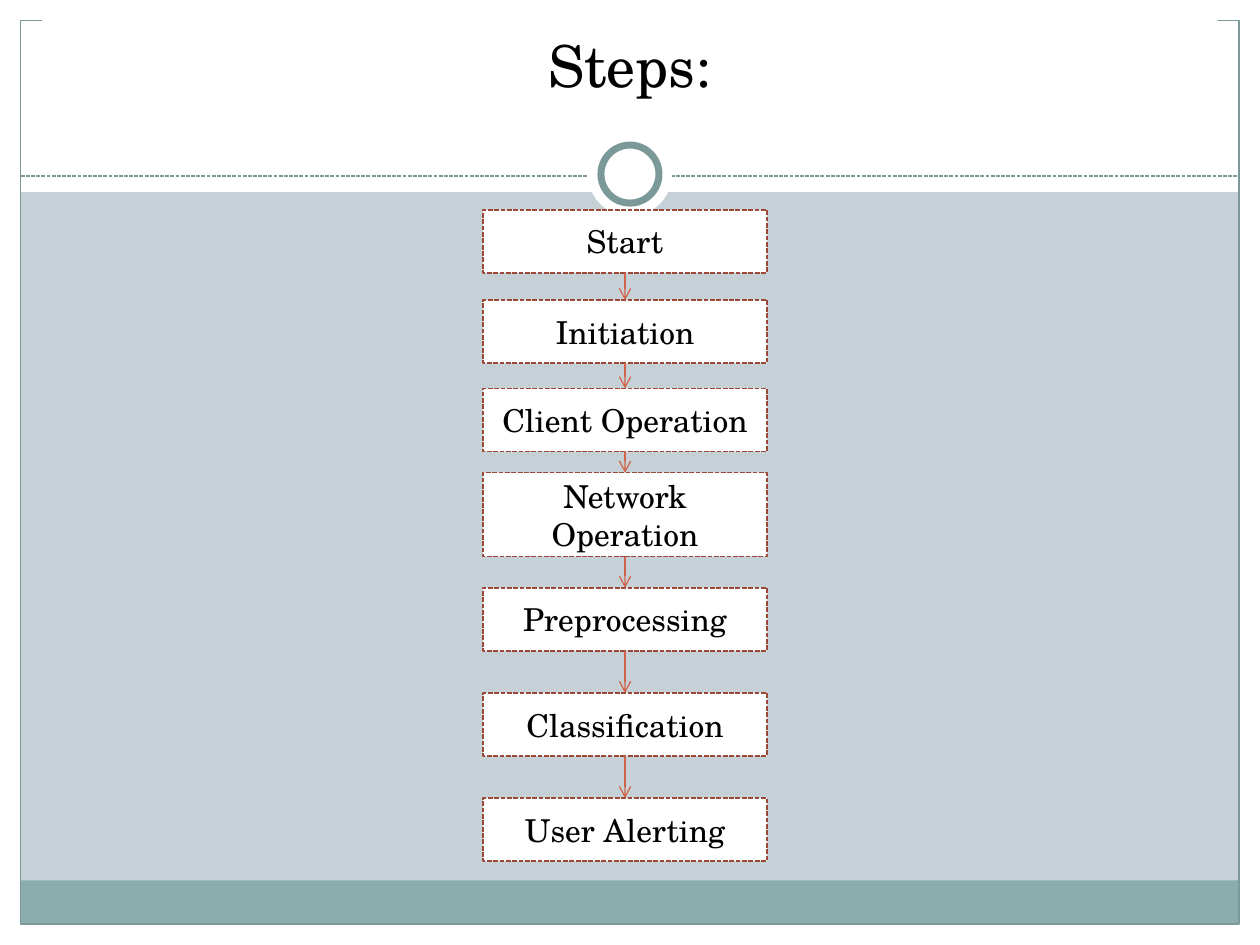
from dataclasses import dataclass

from lxml.etree import SubElement
from pptx import Presentation
from pptx.dml.color import RGBColor as RGB
from pptx.enum.dml import MSO_LINE_DASH_STYLE as Dash
from pptx.enum.shapes import MSO_CONNECTOR as Link, MSO_SHAPE as Shape
from pptx.enum.text import MSO_ANCHOR as Anchor, PP_ALIGN as Align
from pptx.oxml.ns import qn
from pptx.util import Cm, Pt


@dataclass(frozen=True)
class Theme:
    font: str = "TeX Gyre Schola"
    title_size: float = 33
    step_size: float = 18
    background: str = "C5D1D7"
    paper: str = "FFFFFF"
    ink: str = "000000"
    band: str = "8CADAE"
    frame: str = "7C999A"
    border: str = "9B4936"
    arrow: str = "D16349"


T = Theme()
WIDTH, HEIGHT = 25.4, 19.05
MARGIN = 0.42
INNER = WIDTH - 2 * MARGIN
MIDDLE = WIDTH / 2


def set_line(line, color, width, dash=None):
    line.color.rgb = RGB.from_string(color)
    for name, value in {"width": Pt(width), "dash_style": dash}.items():
        setattr(line, name, value)


def add_box(box, fill=None, kind=Shape.RECTANGLE, text="", size=T.step_size, anchor=Anchor.MIDDLE):
    """Add a shape without an outline; box is left, top, width, height in cm."""
    sp = s.shapes.add_shape(kind, *map(Cm, box))
    sp.shadow.inherit = False
    sp.line.fill.background()
    if fill:
        sp.fill.solid()
        sp.fill.fore_color.rgb = RGB.from_string(fill)
    else:
        sp.fill.background()
    if text:
        tf = sp.text_frame
        tf.word_wrap = True
        tf.vertical_anchor = anchor
        p = tf.paragraphs[0]
        p.alignment = Align.CENTER
        r = p.add_run()
        r.text = text
        for name, value in {"name": T.font, "size": Pt(size)}.items():
            setattr(r.font, name, value)
        r.font.color.rgb = RGB.from_string(T.ink)
    return sp


prs = Presentation()
prs.slide_width, prs.slide_height = Cm(WIDTH), Cm(HEIGHT)
s = prs.slides.add_slide(prs.slide_layouts[6])
s.background.fill.solid()
s.background.fill.fore_color.rgb = RGB.from_string(T.background)

# White margins, header and footer band
for box in [
    (0, HEIGHT - MARGIN, WIDTH, MARGIN),
    (0, 0, WIDTH, 3.87),
    (0, 0, MARGIN, HEIGHT),
    (WIDTH - MARGIN, 0, MARGIN, HEIGHT),
]:
    add_box(box, T.paper)
add_box((MARGIN, 17.75, INNER, 0.87), T.band)
frame = add_box((MARGIN, MARGIN, INNER, HEIGHT - 2 * MARGIN))
set_line(frame.line, T.frame, 0.75)

# Dashed divider with a ring at its middle
divider = s.shapes.add_connector(
    Link.STRAIGHT, Cm(MARGIN), Cm(3.55), Cm(WIDTH - MARGIN), Cm(3.55))
set_line(divider.line, T.frame, 0.75, Dash.SQUARE_DOT)
links = [divider]
for diameter in (1.7, 1.17):
    ring = add_box((MIDDLE - diameter / 2, 3.51 - diameter / 2, diameter, diameter),
                   T.paper, Shape.OVAL)
set_line(ring.line, T.frame, 4)

add_box((0.85, 0, 23.7, 2.12), T.paper, text="Steps:", size=T.title_size, anchor=Anchor.BOTTOM)

# Steps: label, top, height
steps = [
    ("Start", 4.23, 1.27),
    ("Initiation", 6.05, 1.27),
    ("Client Operation", 7.83, 1.27),
    ("Network Operation", 9.53, 1.69),
    ("Preprocessing", 11.85, 1.27),
    ("Classification", 13.97, 1.27),
    ("User Alerting", 16.09, 1.27),
]
boxes = []
for label, top, height in steps:
    sp = add_box((9.74, top, 5.72, height), T.paper, text=label)
    set_line(sp.line, T.border, 0.9, Dash.SQUARE_DOT)
    boxes.append(sp)

# Each arrow runs from the bottom of a step to the top of the next
for upper, lower in zip(boxes, boxes[1:]):
    arrow = s.shapes.add_connector(Link.STRAIGHT, 0, 0, 0, 0)
    arrow.begin_connect(upper, 2)
    arrow.end_connect(lower, 0)
    set_line(arrow.line, T.arrow, 0.75)
    SubElement(arrow.line._get_or_add_ln(), qn("a:tailEnd"), type="arrow")
    links.append(arrow)

for link in links:
    SubElement(link._element.spPr, qn("a:effectLst"))

prs.save("out.pptx")
